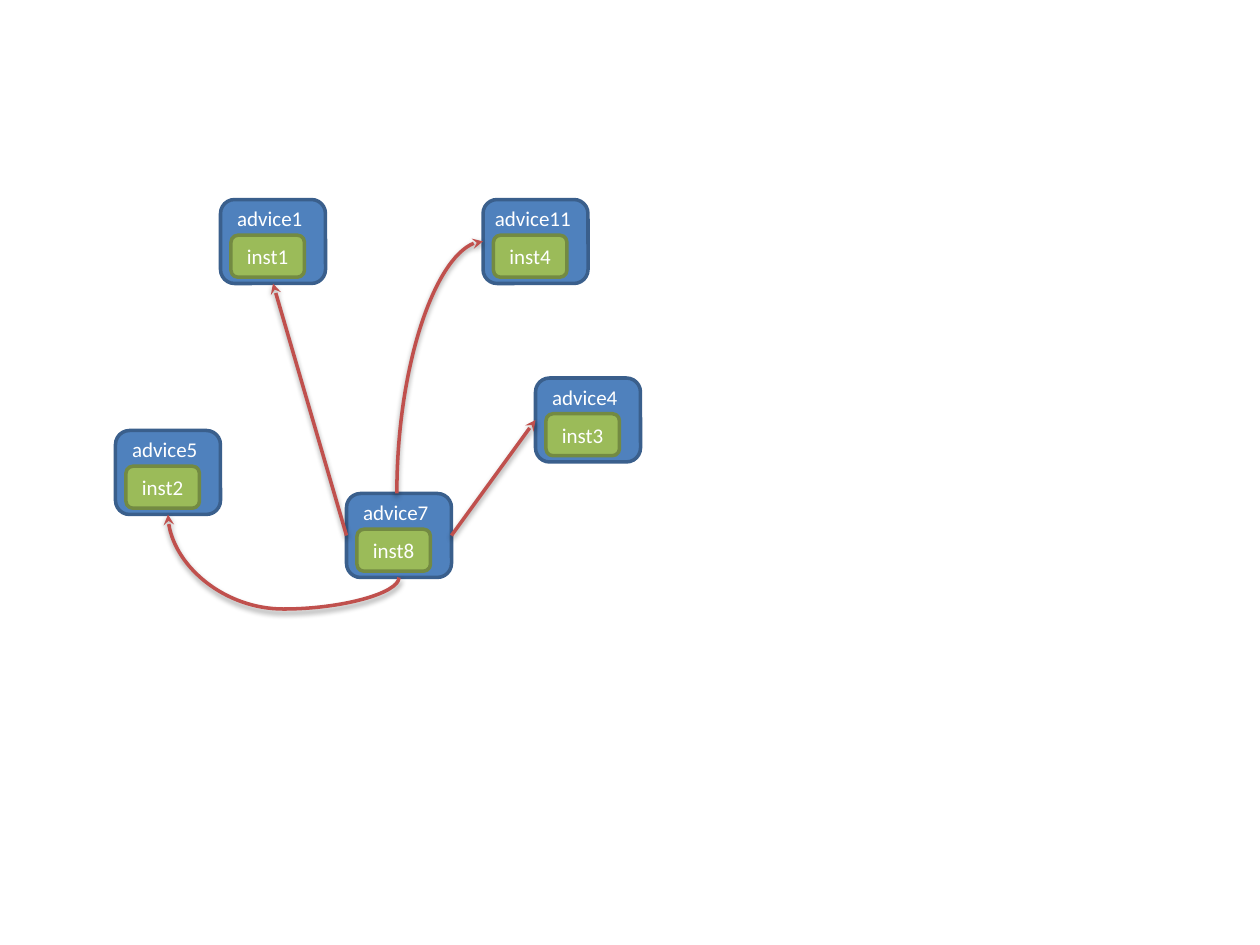
import dataclasses

import pptx
import pptx.dml.color
import pptx.enum.shapes
import pptx.enum.text
import pptx.oxml
import pptx.oxml.ns
import pptx.util

SHAPE = pptx.enum.shapes.MSO_SHAPE
CONNECTOR = pptx.enum.shapes.MSO_CONNECTOR
qn = pptx.oxml.ns.qn


@dataclasses.dataclass(frozen=True)
class Theme:
    font: str = "Calibri"
    text_size: float = 12
    line_width: float = 2
    text: str = "FFFFFF"
    advice: str = "4F81BD"
    advice_line: str = "3A5F8C"
    inst: str = "9BBB59"
    inst_line: str = "738A42"
    arrow: str = "C0504D"


SHADOW = (
    f'<a:effectLst {pptx.oxml.ns.nsdecls("a")}>'
    '<a:outerShdw blurRad="40000" dist="20000" dir="5400000" rotWithShape="0">'
    '<a:srgbClr val="000000"><a:alpha val="38000"/></a:srgbClr>'
    "</a:outerShdw></a:effectLst>"
)


def color(value):
    return pptx.dml.color.RGBColor.from_string(value)


class Diagram:
    """Draws on a grid of 120 columns by 90 rows, 12 to the inch."""

    def __init__(self, prs, theme):
        self.theme = theme
        self.unit = prs.slide_width / 120
        self.s = prs.slides.add_slide(prs.slide_layouts[6])

    def grid(self, *values):
        return [round(v * self.unit) for v in values]

    def set_line(self, sp, value):
        sp.line.color.rgb = color(value)
        sp.line.width = pptx.util.Pt(self.theme.line_width)

    def set_text(self, sp, text, align):
        p = sp.text_frame.paragraphs[0]
        p.text = text
        p.alignment = align
        p.font.name = self.theme.font
        p.font.size = pptx.util.Pt(self.theme.text_size)
        p.font.color.rgb = color(self.theme.text)

    def rounded(self, shapes, box, fill, line):
        sp = shapes.add_shape(SHAPE.ROUNDED_RECTANGLE, *self.grid(*box))
        sp.shadow.inherit = False
        sp.fill.solid()
        sp.fill.fore_color.rgb = color(fill)
        self.set_line(sp, line)
        return sp

    def label(self, shapes, center, top, text):
        width = 0.9 * len(text) + 2.5
        sp = shapes.add_textbox(*self.grid(center - width / 2, top, width, 3.6))
        sp.text_frame.word_wrap = False
        sp.text_frame.auto_size = pptx.enum.text.MSO_AUTO_SIZE.SHAPE_TO_FIT_TEXT
        self.set_text(sp, text, pptx.enum.text.PP_ALIGN.LEFT)

    def card(self, col, row, advice, inst):
        t = self.theme
        shapes = self.s.shapes.add_group_shape().shapes
        self.rounded(shapes, (col, row, 10, 8), t.advice, t.advice_line)
        sp = self.rounded(shapes, (col + 1, row + 3.4, 7, 4), t.inst, t.inst_line)
        sp.text_frame.vertical_anchor = pptx.enum.text.MSO_ANCHOR.MIDDLE
        self.set_text(sp, inst, pptx.enum.text.PP_ALIGN.CENTER)
        self.label(shapes, col + 4.8, row, advice)

    def arrow(self, start, end, kind=CONNECTOR.STRAIGHT):
        sp = self.s.shapes.add_connector(kind, *self.grid(*start, *end))
        self.set_line(sp, self.theme.arrow)
        ln = sp.line._get_or_add_ln()
        ln.append(pptx.oxml.parse_xml(
            f'<a:tailEnd {pptx.oxml.ns.nsdecls("a")} type="stealth"/>'))
        sp._element.spPr.append(pptx.oxml.parse_xml(SHADOW))
        return sp

    def curve(self, start, end, preset, bend=None):
        """Curve that leaves vertically: drawn sideways, then turned by 90 degrees."""
        cx, cy = (start[0] + end[0]) / 2, (start[1] + end[1]) / 2
        turned = [(cx + y - cy, cy - x + cx) for x, y in (start, end)]
        sp = self.arrow(*turned, CONNECTOR.CURVE)
        spPr = sp._element.spPr
        spPr.find(qn("a:xfrm")).set("rot", str(90 * 60000))
        geom = spPr.find(qn("a:prstGeom"))
        geom.set("prst", preset)
        if bend is not None:
            guides = geom.find(qn("a:avLst"))
            guides.append(guides.makeelement(
                qn("a:gd"), {"name": "adj1", "fmla": f"val {round(bend * 100000)}"}))


CARDS = [
    (21, 19, "advice1", "inst1"),
    (51, 36, "advice4", "inst3"),
    (11, 41, "advice5", "inst2"),
    (33, 47, "advice7", "inst8"),
    (46, 19, "advice11", "inst4"),
]


def main():
    prs = pptx.Presentation()
    prs.slide_width = pptx.util.Inches(10)
    prs.slide_height = pptx.util.Inches(7.5)
    d = Diagram(prs, Theme())
    for card in CARDS:
        d.card(*card)
    d.curve((38, 55), (16, 49), "curvedConnector3", bend=-0.5)
    d.arrow((33, 51), (26, 27))
    d.curve((37.8, 47), (46, 23), "curvedConnector2")
    d.arrow((43, 51), (51, 40))
    prs.save("out.pptx")


if __name__ == "__main__":
    main()
